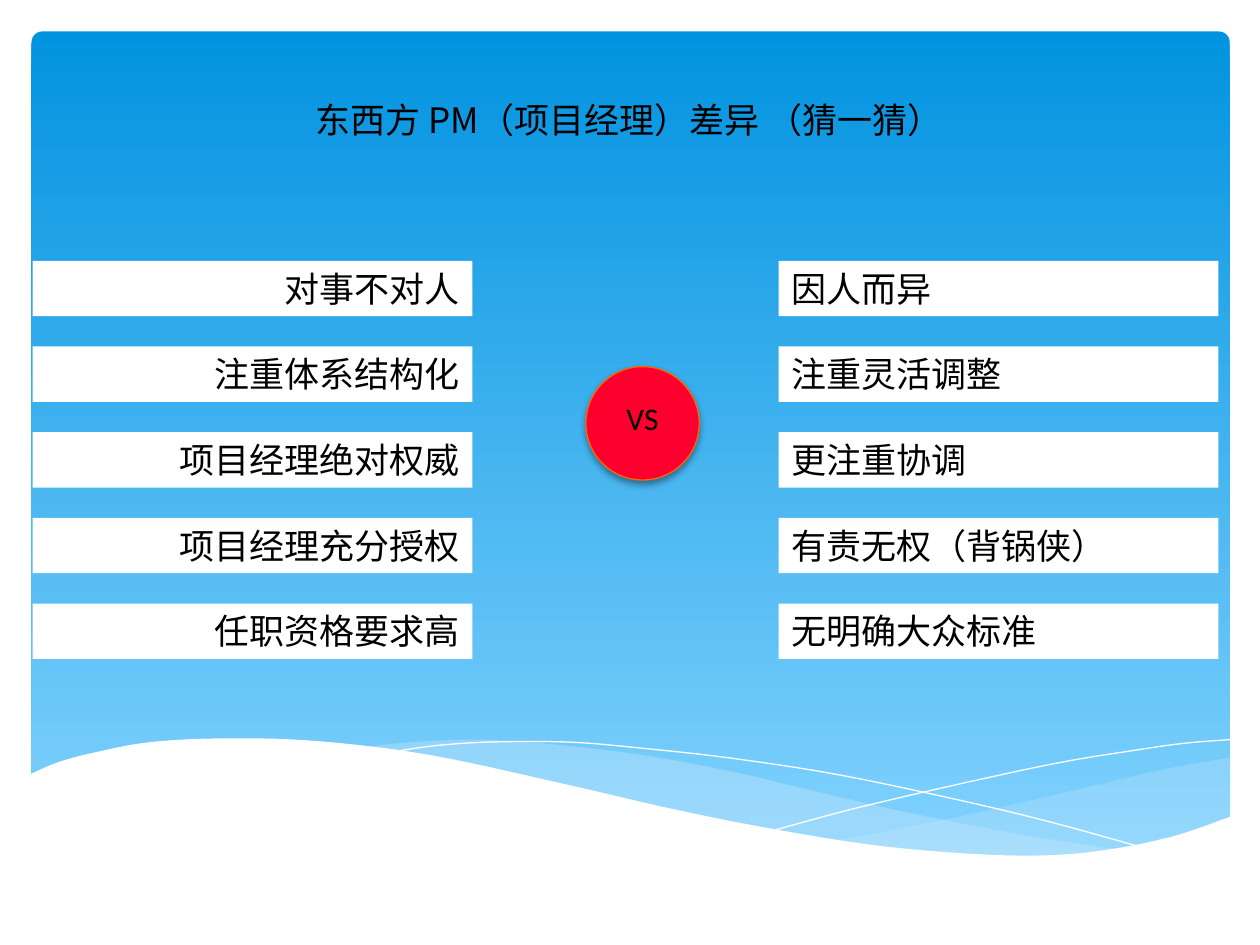
from lxml import etree
from pptx import Presentation
from pptx.dml.color import RGBColor
from pptx.enum.shapes import MSO_SHAPE
from pptx.enum.text import MSO_ANCHOR, MSO_AUTO_SIZE, PP_ALIGN
from pptx.oxml import parse_xml
from pptx.oxml.ns import nsdecls, qn
from pptx.util import Inches, Pt

COLORS = {"top": "0293E0", "base": "83D3FE", "wave": "C6E7FC", "white": "FFFFFF",
          "text": "000000", "badge": "FC002E", "rim": "FF6600"}
LEFT = ["对事不对人", "注重体系结构化", "项目经理绝对权威", "项目经理充分授权", "任职资格要求高"]
RIGHT = ["因人而异", "注重灵活调整", "更注重协调", "有责无权（背锅侠）", "无明确大众标准"]

# Wave outlines, in inches from the corner of the wave box
FAR_TOP = [(9.54, .15), (8.99, .25), (8.39, .39), (7.57, .58), (6.84, .73), (6.39, .81)]
FAR_LOW = [(6.39, .81), (6.96, .88), (7.59, .93), (8.13, .93), (8.67, .89),
           (9.14, .77), (9.54, .63)]
MID_TOP = [(2.64, .07), (3.05, .03), (3.57, .01), (4.19, .05), (4.92, .14), (5.61, .27),
           (6.07, .38), (6.84, .56), (7.53, .7), (8.15, .81), (8.71, .89)]
MID_LOW = [(8.71, .89), (8.26, .93), (7.74, .94), (7.14, .91), (6.43, .82),
           (5.62, .68), (4.27, .38), (3.6, .23), (3.2, .15), (2.64, .07)]
FALL = [(2.87, .11), (3.21, .06), (3.65, .03), (4.28, .03), (4.88, .08), (5.59, .16),
        (6.43, .29), (7.38, .49), (8.09, .66), (8.85, .87)]
RISE = [(5.91, .73), (6.5, .57), (7.26, .39), (8.14, .2), (8.74, .1), (9.16, .04), (9.53, .01)]
FRONT = [(0, .29), (.23, .19), (.53, .11), (.96, .03), (1.54, 0), (2.27, .02), (3.17, .13),
         (4.24, .36), (5.06, .55), (5.8, .7), (6.65, .84), (7.38, .91), (8, .93),
         (8.52, .89), (9.07, .78), (9.54, .62)]
FLOOR = [(9.54, 1.45), (0, 1.45)]


def rgb(name):
    return RGBColor.from_string(COLORS[name])


def paint(shape, fill=None, line=None, width=0):
    shape.shadow.inherit = False
    if fill:
        shape.fill.solid()
        shape.fill.fore_color.rgb = rgb(fill)
    else:
        shape.fill.background()
    if line:
        shape.line.color.rgb = rgb(line)
        shape.line.width = Pt(width)
    else:
        shape.line.fill.background()


def write(shape, text, size, align, font="Calibri"):
    frame = shape.text_frame
    frame.text = text
    frame.word_wrap = True
    frame.auto_size = MSO_AUTO_SIZE.SHAPE_TO_FIT_TEXT
    frame.vertical_anchor = MSO_ANCHOR.TOP
    para = frame.paragraphs[0]
    para.alignment = align
    style = para.runs[0].font
    style.name, style.size = font, Pt(size)
    style.color.rgb = rgb("text")


def smooth(knots, steps=5):
    """Sample a Catmull-Rom curve through the knots."""
    ends = [knots[0], *knots, knots[-1]]
    points = [knots[0]]
    for a, b, c, d in zip(ends, ends[1:], ends[2:], ends[3:]):
        for step in range(1, steps + 1):
            t = step / steps
            points.append(tuple(
                q + t / 2 * (r - p + t * (2 * p - 5 * q + 4 * r - s
                                          + t * (3 * (q - r) + s - p)))
                for p, q, r, s in zip(a, b, c, d)))
    return points


def add_path(slide, left, top, points, close):
    spots = [(Inches(left + x), Inches(top + y)) for x, y in points]
    path = slide.shapes.build_freeform(*spots[0])
    path.add_line_segments(spots[1:], close=close)
    return path.convert_to_shape()


def add_panel(slide, left, top, width, height):
    panel = slide.shapes.add_shape(MSO_SHAPE.ROUNDED_RECTANGLE, Inches(left), Inches(top),
                                   Inches(width), Inches(height))
    panel.adjustments[0] = 0.013
    paint(panel)
    panel.fill.gradient()
    panel.fill.gradient_angle = 270
    for stop, name, place in zip(panel.fill.gradient_stops, ("top", "base"), (0, 1)):
        stop.color.rgb = rgb(name)
        stop.position = place


def add_waves(slide, left, top):
    # Translucent bands
    for points, alpha in ((smooth(FAR_TOP) + smooth(FAR_LOW), 29),
                          (smooth(MID_TOP) + smooth(MID_LOW), 40)):
        band = add_path(slide, left, top, points, True)
        paint(band, "wave")
        tint = band.fill._xPr.find(".//" + qn("a:srgbClr"))
        etree.SubElement(tint, qn("a:alpha")).set("val", str(alpha * 1000))
    # Hairlines
    for knots in (FALL, RISE):
        paint(add_path(slide, left, top, smooth(knots), False), line="white")
    # White foreground
    paint(add_path(slide, left, top, smooth(FRONT) + FLOOR, True), "white")


def add_title(slide, left, top, width, height):
    box = slide.shapes.add_textbox(Inches(left), Inches(top), Inches(width), Inches(height))
    write(box, "东西方 PM（项目经理）差异 （猜一猜）", 20, PP_ALIGN.CENTER, "Noto Sans CJK SC")


def add_column(slide, left, top, width, items, align):
    for row, item in enumerate(items):
        bar = slide.shapes.add_shape(MSO_SHAPE.RECTANGLE, Inches(left),
                                     Inches(top + row * 0.68), Inches(width), Inches(0.44))
        paint(bar, "white")
        write(bar, item, 20, align)


def add_badge(slide, left, top, size):
    disc = slide.shapes.add_shape(MSO_SHAPE.OVAL, Inches(left), Inches(top),
                                  Inches(size), Inches(size))
    paint(disc, "badge", "rim", 0.75)
    effects = disc._element.spPr.find(qn("a:effectLst"))
    effects.append(parse_xml(
        f'<a:outerShdw {nsdecls("a")} blurRad="{Pt(4)}" dist="{Pt(2)}" dir="5400000" '
        'rotWithShape="0"><a:srgbClr val="000000"><a:alpha val="38000"/></a:srgbClr>'
        '</a:outerShdw>'))
    label = slide.shapes.add_textbox(Inches(left), Inches(top + 0.21),
                                     Inches(size), Inches(0.4))
    write(label, "VS", 18, PP_ALIGN.CENTER)


def main():
    deck = Presentation()
    deck.slide_width, deck.slide_height = Inches(10), Inches(7.5)
    slide = deck.slides.add_slide(deck.slide_layouts[6])
    add_panel(slide, 0.25, 0.25, 9.51, 6.6)
    add_waves(slide, 0.23, 5.86)
    add_title(slide, 2.37, 0.73, 5.25, 0.44)
    add_column(slide, 0.26, 2.07, 3.49, LEFT, PP_ALIGN.RIGHT)
    add_column(slide, 6.18, 2.07, 3.49, RIGHT, PP_ALIGN.LEFT)
    add_badge(slide, 4.65, 2.91, 0.9)
    deck.save("out.pptx")


if __name__ == "__main__":
    main()
